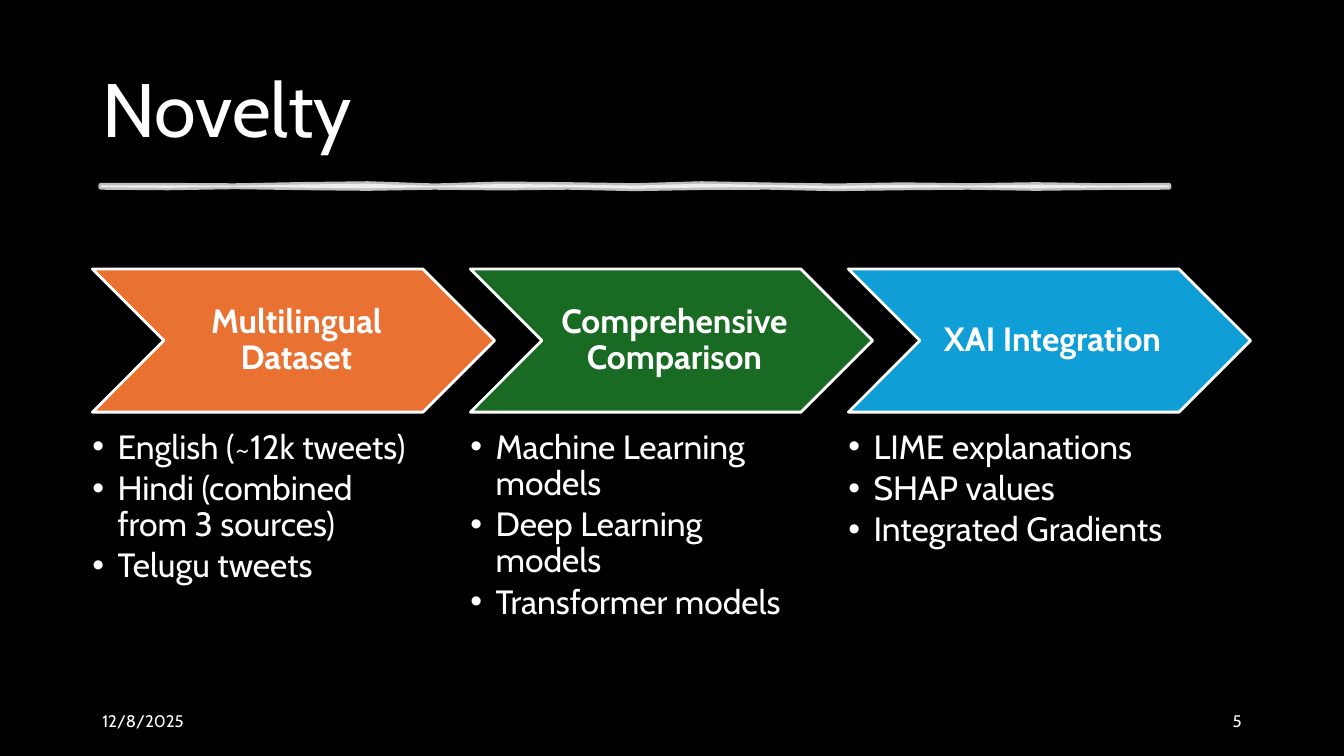
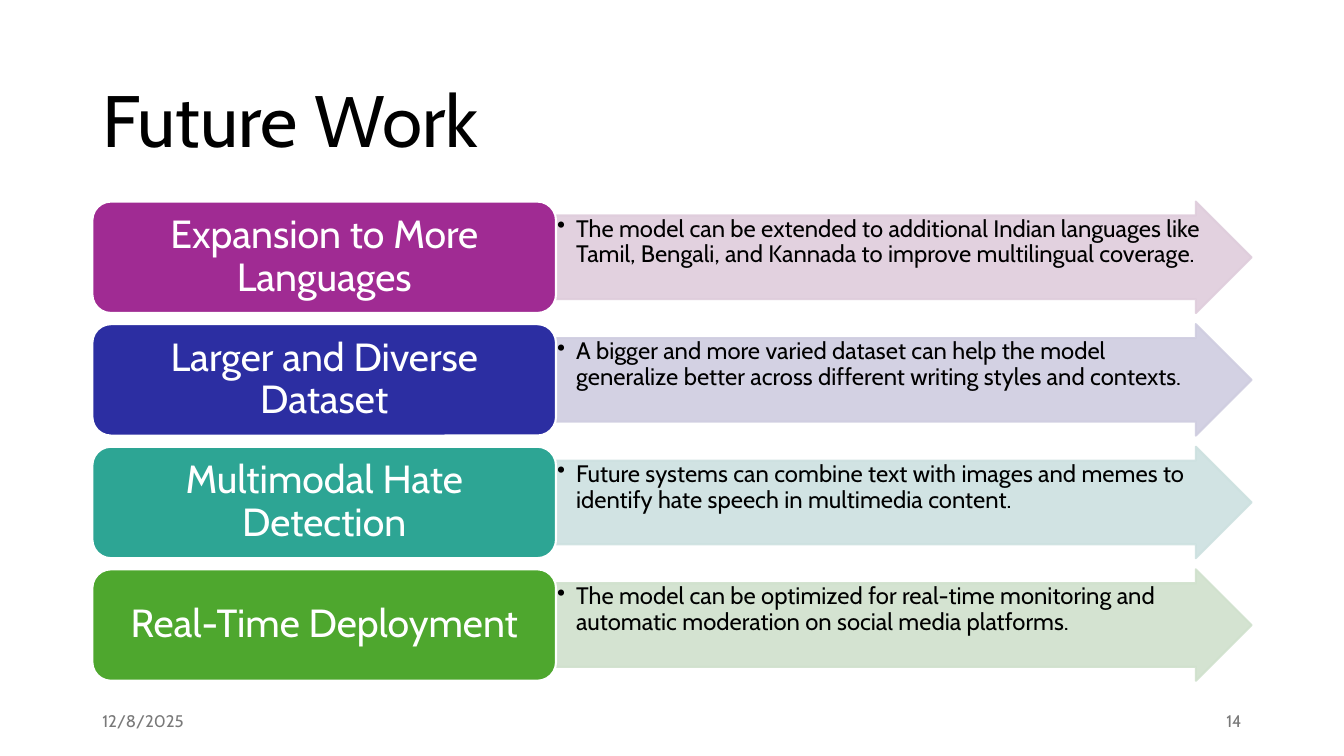
from lxml.etree import SubElement
from pptx import Presentation
from pptx.dml.color import RGBColor
from pptx.enum.shapes import MSO_SHAPE
from pptx.enum.text import MSO_ANCHOR, MSO_AUTO_SIZE, PP_ALIGN
from pptx.oxml.ns import qn
from pptx.util import Pt

COLORS = {
    "black": "000000", "white": "FFFFFF", "gray": "797979",
    "orange": "E97132", "forest": "196B24", "sky": "0F9ED5",
    "purple": "A02B93", "pale purple": "DFCDDC",
    "indigo": "2C2EA2", "pale indigo": "CFCDE0",
    "teal": "2DA594", "pale teal": "CDE1E0",
    "green": "4EA72E", "pale green": "D0E1CD",
}
FONT = "Cabin"
LEFT, WIDTH = 66, 828

CHEVRONS = [
    ("Multilingual Dataset", "orange",
     ["English (~12k tweets)", "Hindi (combined from 3 sources)", "Telugu tweets"]),
    ("Comprehensive Comparison", "forest",
     ["Machine Learning models", "Deep Learning models", "Transformer models"]),
    ("XAI Integration", "sky",
     ["LIME explanations", "SHAP values", "Integrated Gradients"]),
]
PLANS = [
    ("Expansion to More Languages", "purple",
     "The model can be extended to additional Indian languages like Tamil, "
     "Bengali, and Kannada to improve multilingual coverage."),
    ("Larger and Diverse Dataset", "indigo",
     "A bigger and more varied dataset can help the model generalize better "
     "across different writing styles and contexts."),
    ("Multimodal Hate Detection", "teal",
     "Future systems can combine text with images and memes to identify hate "
     "speech in multimedia content."),
    ("Real-Time Deployment", "green",
     "The model can be optimized for real-time monitoring and automatic "
     "moderation on social media platforms."),
]


def rgb(name):
    return RGBColor.from_string(COLORS[name])


class SlideBuilder:
    """Holds the deck's style and the slide being built; lengths are points."""

    def __init__(self):
        self.deck = Presentation()
        self.deck.slide_width, self.deck.slide_height = Pt(960), Pt(540)
        self.page = None

    def start(self, layout, background):
        self.page = self.deck.slides.add_slide(self.deck.slide_layouts.get_by_name(layout))
        fill = self.page.background.fill
        fill.solid()
        fill.fore_color.rgb = rgb(background)

    def place(self, box, left, top, width, height):
        box.left, box.top, box.width, box.height = map(Pt, (left, top, width, height))

    def set_text(self, box, lines, size, color, bold=False, align=PP_ALIGN.LEFT,
                 anchor=MSO_ANCHOR.MIDDLE, margins=(7.2, 3.6, 7.2, 3.6),
                 spacing=0.9, after=0, indent=None):
        """Fill a box with paragraphs; an indent makes them bulleted."""
        frame = box.text_frame
        frame.word_wrap = True
        frame.auto_size = MSO_AUTO_SIZE.NONE
        frame.vertical_anchor = anchor
        (frame.margin_left, frame.margin_top,
         frame.margin_right, frame.margin_bottom) = map(Pt, margins)
        frame.text = "\n".join(lines)
        for para in frame.paragraphs:
            if indent:
                props = para._p.get_or_add_pPr()
                props.set("marL", str(Pt(indent)))
                props.set("indent", str(-Pt(indent)))
                SubElement(props, qn("a:buChar"), char="•")
            para.alignment = align
            para.line_spacing = spacing
            para.space_before, para.space_after = Pt(0), Pt(after)
            para.font.name, para.font.size = FONT, Pt(size)
            para.font.bold = bold
            para.font.color.rgb = rgb(color)

    def title(self, text, top, height, size, color):
        box = self.page.shapes.title
        self.place(box, LEFT, top, WIDTH, height)
        self.set_text(box, [text], size, color)

    def footer(self, date, number, color):
        for text, left, align in ((date, LEFT, PP_ALIGN.LEFT),
                                  (number, LEFT + WIDTH - 216, PP_ALIGN.RIGHT)):
            box = self.page.shapes.add_textbox(Pt(left), Pt(500.5), Pt(216), Pt(28.8))
            self.set_text(box, [text], 12, color, align=align, spacing=1)

    def paint(self, shape, fill, line, weight, opacity=100):
        shape.shadow.inherit = False
        shape.fill.solid()
        shape.fill.fore_color.rgb = rgb(fill)
        shape.line.color.rgb = rgb(line)
        shape.line.width = Pt(weight)
        if opacity < 100:
            for color in shape._element.spPr.iter(qn("a:srgbClr")):
                SubElement(color, qn("a:alpha"), val=str(opacity * 1000))

    def shape(self, kind, left, top, width, height, fill, line, weight, opacity=100):
        shape = self.page.shapes.add_shape(kind, Pt(left), Pt(top), Pt(width), Pt(height))
        self.paint(shape, fill, line, weight, opacity)
        return shape

    def brush_line(self, left, top, width, thickness, color):
        """Draw a hand-drawn rule whose two edges waver by fractions of a point."""
        upper = [0, 0, .3, -.6, -1.2, .4, -1, -.5, .2, -1.2, -.3, .4, -.4, .2, -.5, .2, 0]
        lower = [0, .4, -.4, .3, .8, 0, .5, 0, 1, .2, 0, 1, .4, 0, .8, .2, 0]
        step = width / (len(upper) - 1)
        edge = [(left + i * step, top + rise) for i, rise in enumerate(upper)]
        edge += [(left + i * step, top + thickness + drop)
                 for i, drop in reversed(list(enumerate(lower)))]
        points = [(Pt(x), Pt(y)) for x, y in edge]
        outline = self.page.shapes.build_freeform(*points[0])
        outline.add_line_segments(points[1:], close=True)
        self.paint(outline.convert_to_shape(), color, color, 3.5, 75)

    def drop_empty_placeholders(self):
        for box in list(self.page.placeholders):
            if not box.text_frame.text:
                box._element.getparent().remove(box._element)


def novelty(builder):
    builder.start("Comparison", "black")
    builder.title("Novelty", 28.8, 104.4, 54, "white")
    builder.brush_line(72, 132.4, 763, 1.4, "white")
    builder.footer("12/8/2025", "5", "white")
    bodies = list(builder.page.placeholders)[1:]
    for column, (heading, color, items) in enumerate(CHEVRONS):
        left = LEFT + column * 270
        chevron = builder.shape(MSO_SHAPE.CHEVRON, left, 192.2, 287.3, 102.2, color, "white", 2)
        builder.set_text(chevron, [heading], 24, "white", bold=True,
                         align=PP_ALIGN.CENTER, margins=(7.2, 2.9, 2.9, 2.9))
        body = bodies[column]
        builder.place(body, left, 307.3, 229.8, 145)
        builder.set_text(body, items, 24, "white", anchor=MSO_ANCHOR.TOP,
                         margins=(0, 0, 0, 0), after=3.5, indent=18)
    builder.drop_empty_placeholders()


def future_work(builder):
    builder.start("Title Only", "white")
    builder.title("Future Work", 44, 89, 52, "black")
    builder.footer("12/8/2025", "14", "gray")
    height = 79.6
    label_width = WIDTH * 0.4
    for row, (heading, color, detail) in enumerate(PLANS):
        top = 144 + row * height * 1.1
        pale = "pale " + color
        arrow = builder.shape(MSO_SHAPE.RIGHT_ARROW, LEFT + label_width, top,
                              WIDTH - label_width, height, pale, pale, 1.5, 90)
        arrow.adjustments[0] = 0.75
        builder.set_text(arrow, [detail], 17, "black", anchor=MSO_ANCHOR.TOP,
                         margins=(0.8, 0.8, 0.8, 0.8), indent=13.5)
        label = builder.shape(MSO_SHAPE.ROUNDED_RECTANGLE, LEFT, top, label_width, height,
                              color, "white", 1.5)
        builder.set_text(label, [heading], 28, "white", align=PP_ALIGN.CENTER,
                         margins=(8.4, 4.2, 8.4, 4.2))


def main():
    builder = SlideBuilder()
    novelty(builder)
    future_work(builder)
    builder.deck.save("out.pptx")


if __name__ == "__main__":
    main()
